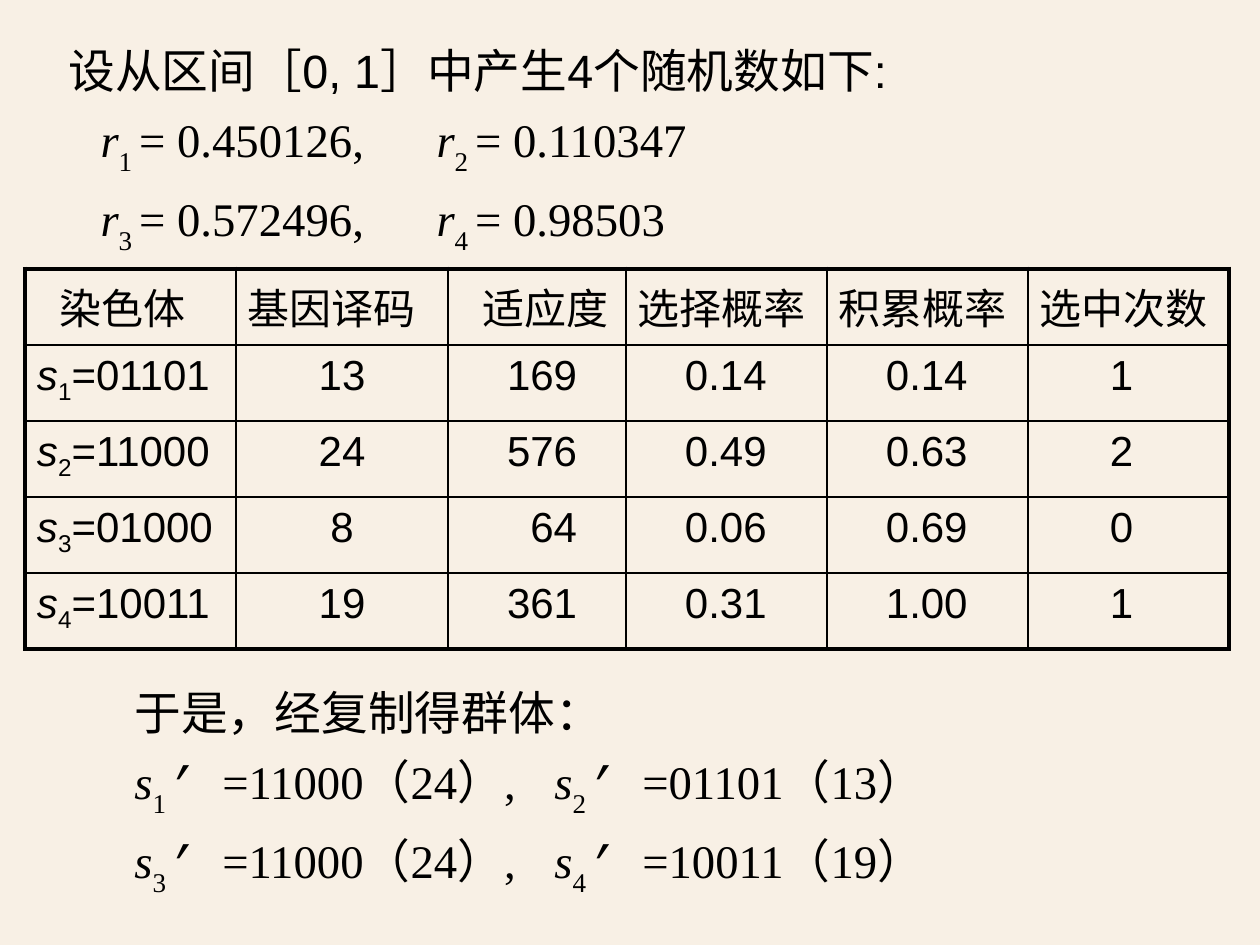
import pptx
import pptx.dml.color
import pptx.enum.text
import pptx.oxml
import pptx.oxml.ns
import pptx.util

EMU_PER_PX = 914400 / 168
ALIGN = pptx.enum.text.PP_ALIGN
THEME = {
    "paper": pptx.dml.color.RGBColor(0xF8, 0xF0, 0xE5),
    "ink": pptx.dml.color.RGBColor(0, 0, 0),
    "sans": "Arial", "serif": "Times New Roman", "mark": "Courier New",
    "body": pptx.util.Pt(20), "cell": pptx.util.Pt(18),
    "thick": pptx.util.Pt(2.25), "thin": pptx.util.Pt(1),
}
BODY = {"size": THEME["body"], "name": THEME["serif"], "italic": False}
HEADING = {**BODY, "name": THEME["sans"]}
SYMBOL = {**BODY, "italic": True}
MARK = {**SYMBOL, "name": THEME["mark"]}
CELL = {**HEADING, "size": THEME["cell"]}
CELL_SYMBOL = {**CELL, "italic": True}

RANDOMS = ["0.450126", "0.110347", "0.572496", "0.98503"]
OFFSPRING = [("11000", 24), ("01101", 13), ("11000", 24), ("10011", 19)]
HEADERS = ["染色体", "基因译码", "适应度", "选择概率", "积累概率", "选中次数"]
ROWS = [
    ["01101", "13", "169", "0.14", "0.14", "1"],
    ["11000", "24", "576", "0.49", "0.63", "2"],
    ["01000", "8", "64", "0.06", "0.69", "0"],
    ["10011", "19", "361", "0.31", "1.00", "1"],
]
COLUMN_WIDTHS = [211, 212, 178, 201, 201, 201]
ROW_HEIGHT = 76
HEADER_INDENTS = [23, 0, 23, 0, 0, 0]
# Alignment, left indent and right indent of each column of values
VALUE_LAYOUT = [(ALIGN.LEFT, 0, 0), (ALIGN.CENTER, 0, 0), (ALIGN.RIGHT, 0, 37),
                (ALIGN.LEFT, 47, 0), (ALIGN.LEFT, 47, 0), (ALIGN.LEFT, 70, 0)]


def px(length):
    return pptx.util.Emu(round(length * EMU_PER_PX))


def set_indents(para, left=0, right=0):
    properties = para._p.get_or_add_pPr()
    properties.set("marL", str(px(left)))
    properties.set("marR", str(px(right)))
    properties.set("indent", "0")


def set_tabs(para, stops):
    tabs = "".join(f'<a:tab pos="{px(stop)}" algn="l"/>' for stop in stops)
    para._p.get_or_add_pPr().append(pptx.oxml.parse_xml(
        f'<a:tabLst {pptx.oxml.ns.nsdecls("a")}>{tabs}</a:tabLst>'))


def write_spans(para, spans):
    """Add (text, format, baseline in percent) spans to a paragraph."""
    for text, formats, baseline in spans:
        span = para.add_run()
        span.text = text
        for name, value in formats.items():
            setattr(span.font, name, value)
        span.font.color.rgb = THEME["ink"]
        if baseline:
            span._r.get_or_add_rPr().set("baseline", str(baseline * 1000))


def add_text_block(page, box, lines, stops):
    """Place lines of (spans, left indent); all share the tab stops."""
    frame = page.shapes.add_textbox(*map(px, box)).text_frame
    frame.word_wrap = True
    for index, (spans, indent) in enumerate(lines):
        para = frame.add_paragraph() if index else frame.paragraphs[0]
        para.line_spacing = 1.2
        set_indents(para, indent)
        set_tabs(para, stops)
        write_spans(para, spans)


def random_spans(number):
    lead, end = ("\t", ",\t") if number % 2 else ("", "")
    return [(f"{lead}r", SYMBOL, 0), (f"{number} ", BODY, -30),
            (f"= {RANDOMS[number - 1]}{end}", BODY, 0)]


def offspring_spans(number):
    genes, value = OFFSPRING[number - 1]
    end = ",\t" if number % 2 else ""
    return [("s", SYMBOL, 0), (str(number), BODY, -30), ("’ ", MARK, 0),
            (f"={genes}（{value}）{end}", BODY, 0)]


def paired_lines(heading, indent, make_spans):
    """A heading, then numbers 1 to 4 set two to a line."""
    pairs = [(make_spans(first) + make_spans(first + 1), 0) for first in (1, 3)]
    return [([(heading, HEADING, 0)], indent)] + pairs


def set_borders(cell, thick_sides):
    properties = cell._tc.get_or_add_tcPr()
    for side in "LRTB":
        width = THEME["thick" if side in thick_sides else "thin"]
        properties.append(pptx.oxml.parse_xml(
            f'<a:ln{side} {pptx.oxml.ns.nsdecls("a")} w="{width}"><a:solidFill>'
            f'<a:srgbClr val="{THEME["ink"]}"/></a:solidFill></a:ln{side}>'))


def add_fitness_table(page, left, top):
    row_count, column_count = len(ROWS) + 1, len(HEADERS)
    box = (left, top, sum(COLUMN_WIDTHS), ROW_HEIGHT * row_count)
    table = page.shapes.add_table(row_count, column_count, *map(px, box)).table
    table.first_row = table.horz_banding = False
    for column, width in zip(table.columns, COLUMN_WIDTHS):
        column.width = px(width)
    margins = {"margin_left": px(12), "margin_right": px(12),
               "margin_top": px(7), "margin_bottom": px(7)}
    for r, values in enumerate([HEADERS] + ROWS):
        for c, value in enumerate(values):
            cell = table.cell(r, c)
            for name, margin in margins.items():
                setattr(cell, name, margin)
            edges = {"L": c == 0, "R": c == column_count - 1,
                     "T": r == 0, "B": r == row_count - 1}
            set_borders(cell, [side for side, outer in edges.items() if outer])
            cell.fill.background()
            para = cell.text_frame.paragraphs[0]
            spans = [(value, CELL, 0)]
            if r == 0:
                set_indents(para, HEADER_INDENTS[c])
            else:
                para.alignment, indent, right_indent = VALUE_LAYOUT[c]
                set_indents(para, indent, right_indent)
                if c == 0:
                    spans = [("s", CELL_SYMBOL, 0), (str(r), CELL, -25),
                             (f"={value}", CELL, 0)]
            write_spans(para, spans)


def build_selection_page(deck):
    page = deck.slides.add_slide(deck.slide_layouts[6])
    page.background.fill.solid()
    page.background.fill.fore_color.rgb = THEME["paper"]
    add_text_block(page, (118, 664, 1110, 217),
                   paired_lines("于是，经复制得群体：", 0, offspring_spans), [432])
    add_text_block(page, (0, 22, 1164, 215),
                   paired_lines("设从区间［0, 1］中产生4个随机数如下:", 52, random_spans),
                   [174, 474])
    add_fitness_table(page, 25, 269)


def main():
    deck = pptx.Presentation()
    deck.slide_width, deck.slide_height = px(1260), px(945)
    build_selection_page(deck)
    deck.save("out.pptx")


if __name__ == "__main__":
    main()
